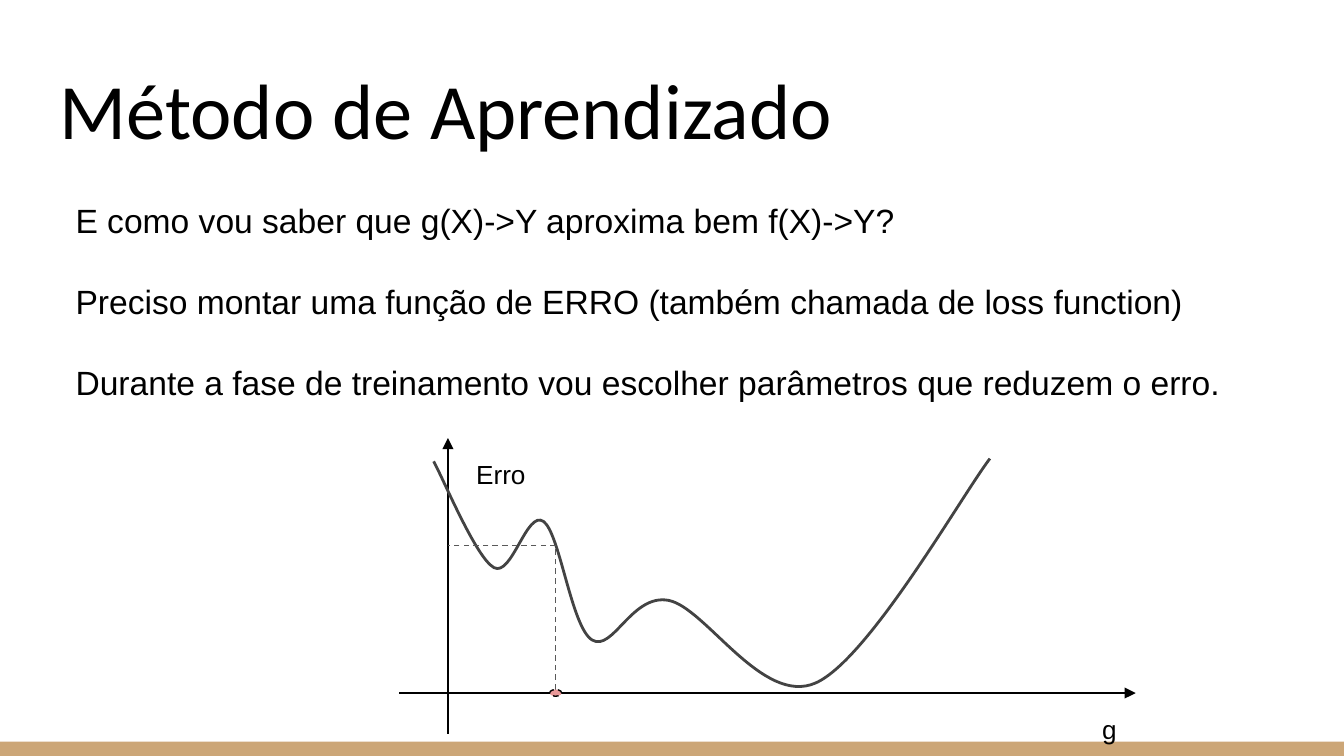
import pptx
import pptx.dml.color
import pptx.enum.dml
import pptx.enum.shapes
import pptx.enum.text
import pptx.oxml.ns
import pptx.util
from lxml import etree

Pt = pptx.util.Pt
RGBColor = pptx.dml.color.RGBColor
MSO_SHAPE = pptx.enum.shapes.MSO_SHAPE
DASH = pptx.enum.dml.MSO_LINE.DASH
ANCHOR = pptx.enum.text.MSO_ANCHOR
qn = pptx.oxml.ns.qn

BLACK = RGBColor(0x00, 0x00, 0x00)
TAN = RGBColor(0xCC, 0xA6, 0x77)
PINK = RGBColor(0xEA, 0x99, 0x99)
CURVE_GRAY = RGBColor(0x43, 0x43, 0x43)
GUIDE_GRAY = RGBColor(0x59, 0x59, 0x59)

prs = pptx.Presentation()
prs.slide_width, prs.slide_height = Pt(720), Pt(405)
s = prs.slides.add_slide(prs.slide_layouts[6])


def add_text(x, y, w, h, lines, size, font="Arial", anchor=ANCHOR.TOP):
    tf = s.shapes.add_textbox(Pt(x), Pt(y), Pt(w), Pt(h)).text_frame
    tf.word_wrap = True
    tf.vertical_anchor = anchor
    tf.margin_left = tf.margin_right = Pt(7.2)
    tf.margin_top = tf.margin_bottom = Pt(7.2)
    tf.text = "\n".join(lines)
    for p in tf.paragraphs:
        p.font.size = Pt(size)
        for r in p.runs:
            r.font.size = Pt(size)
            r.font.name = font
            r.font.color.rgb = BLACK
    return tf


def add_line(x1, y1, x2, y2, color, dashed=False, arrow=False):
    c = s.shapes.add_connector(pptx.enum.shapes.MSO_CONNECTOR.STRAIGHT,
                               Pt(x1), Pt(y1), Pt(x2), Pt(y2))
    c.line.color.rgb = color
    c.line.width = Pt(0.75)
    if dashed:
        c.line.dash_style = DASH
    if arrow:
        ln = c._element.spPr.find(qn("a:ln"))
        etree.SubElement(ln, qn("a:tailEnd"), type="triangle")
    etree.SubElement(c._element.spPr, qn("a:effectLst"))


# Bottom band
sp = s.shapes.add_shape(MSO_SHAPE.RECTANGLE, 0, Pt(397.4), Pt(720), Pt(7.6))
sp.shadow.inherit = False
sp.fill.solid()
sp.fill.fore_color.rgb = TAN
sp.line.fill.background()

# Title and body
add_text(24.8, 25, 671, 65.5, ["Método de Aprendizado"], 42, "Calibri", ANCHOR.BOTTOM)
tf = add_text(33.4, 100.1, 649.4, 281.5, [
    "E como vou saber que g(X)->Y aproxima bem f(X)->Y?",
    "Preciso montar uma função de ERRO (também chamada de loss function)",
    "Durante a fase de treinamento vou escolher parâmetros que reduzem o erro.",
], 18)
for p in tf.paragraphs[1:]:
    p.space_before = Pt(21.7)

# Axes
AXIS_X, AXIS_Y = 240, 371.3
add_line(AXIS_X, 393, AXIS_X, 234.7, BLACK, arrow=True)
add_line(213.8, AXIS_Y, 608.4, AXIS_Y, BLACK, arrow=True)

# Error curve: Bézier segments as (control, control, end)
start = (232.3, 247.2)
segments = [
    ((237.6, 256.7), (255, 298.8), (264.6, 304.1)),
    ((274.2, 309.4), (282.2, 273), (291.2, 279.4)),
    ((300, 285.8), (306.1, 336.2), (317.2, 342.9)),
    ((328.3, 349.6), (338.5, 317.9), (358.2, 321.7)),
    ((378, 325.5), (408.5, 378.5), (437, 365.9)),
    ((465.4, 353.3), (515, 265.8), (530.3, 245.7)),
]
UNITS = 100  # path units per point
ends = [(x * UNITS, y * UNITS) for _, _, (x, y) in segments]
fb = s.shapes.build_freeform(start[0] * UNITS, start[1] * UNITS, scale=Pt(1) / UNITS)
fb.add_line_segments(ends, close=False)
sp = fb.convert_to_shape()
left, top = sp.left / Pt(1), sp.top / Pt(1)
for line_to, segment in zip(list(sp._element.iter(qn("a:lnTo"))), segments):
    line_to.tag  # straight piece, replaced by a curved one
    curve = etree.Element(qn("a:cubicBezTo"))
    for x, y in segment:
        etree.SubElement(curve, qn("a:pt"), x=str(round((x - left) * UNITS)),
                         y=str(round((y - top) * UNITS)))
    line_to.getparent().replace(line_to, curve)
sp.shadow.inherit = False
sp.fill.background()
sp.line.color.rgb = CURVE_GRAY
sp.line.width = Pt(1.5)

# Axis labels
add_text(583.3, 377.3, 25.2, 12.2, ["g"], 14)
add_text(248, 238.3, 76.3, 16.6, ["Erro"], 14)

# Current parameter on the g axis, with dashed guides to the curve and error axis
POINT_X, POINT_Y = 297.7, 292.3
DOT_TOP = 369.4
add_line(POINT_X, 370.8, POINT_X, DOT_TOP, GUIDE_GRAY, dashed=True)
sp = s.shapes.add_shape(MSO_SHAPE.OVAL, Pt(POINT_X - 3.2), Pt(DOT_TOP), Pt(6.4), Pt(3.6))
sp.shadow.inherit = False
sp.fill.solid()
sp.fill.fore_color.rgb = PINK
sp.line.color.rgb = BLACK
sp.line.width = Pt(0.75)
sp.line.dash_style = DASH
add_line(POINT_X, DOT_TOP, POINT_X, POINT_Y, GUIDE_GRAY, dashed=True)
add_line(POINT_X, POINT_Y, AXIS_X, POINT_Y, GUIDE_GRAY, dashed=True)

prs.save("out.pptx")
